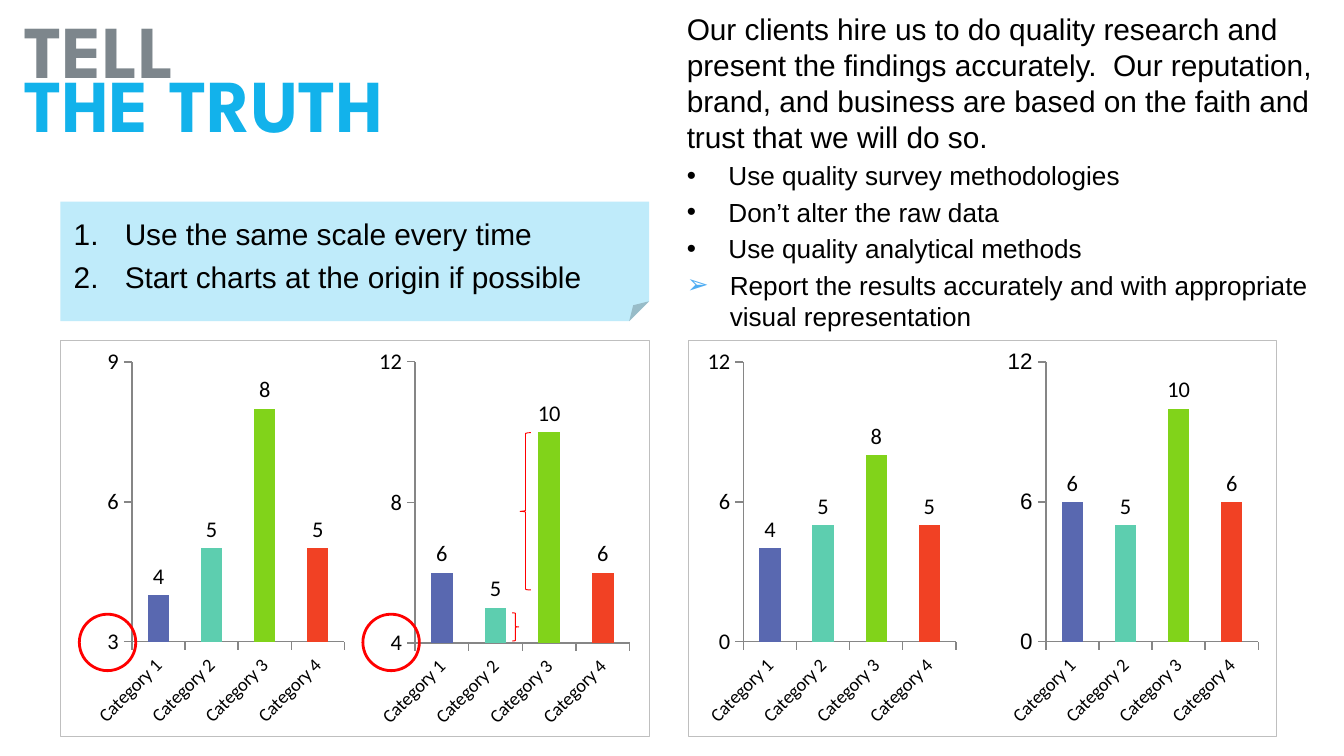
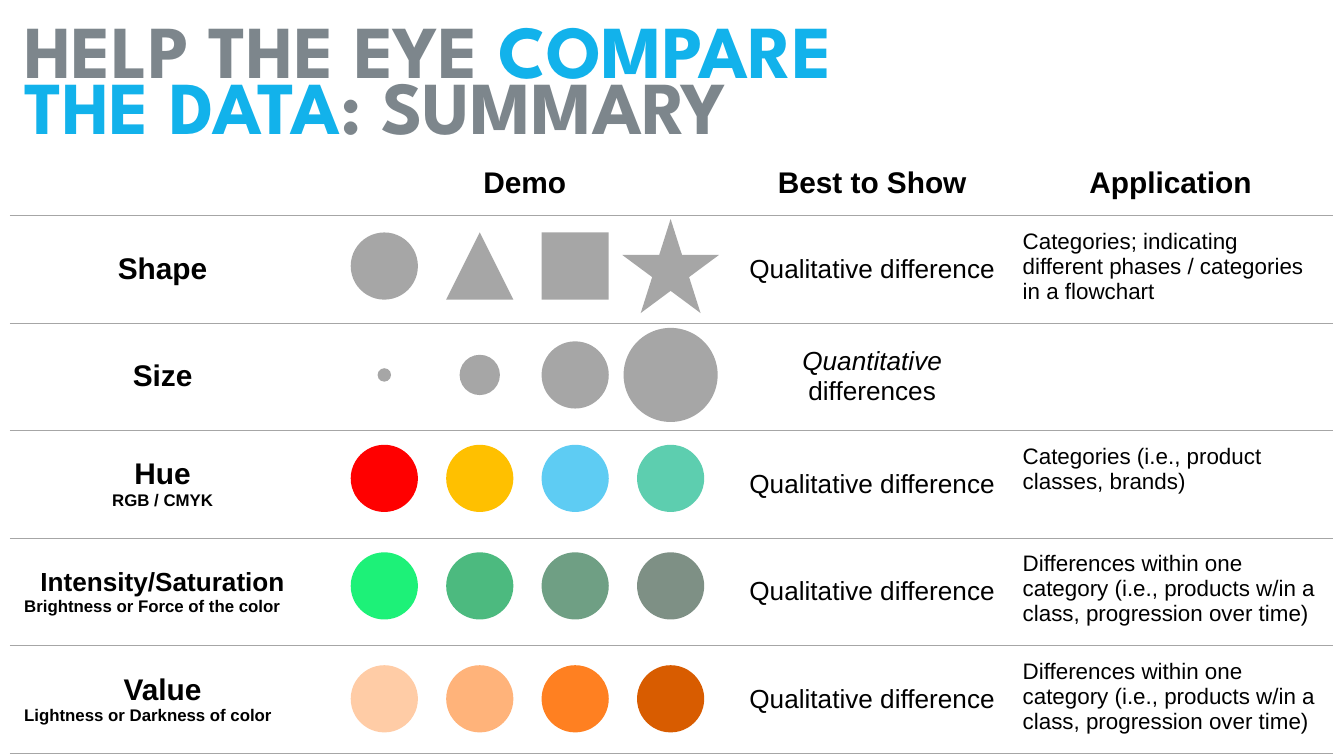
from lxml import etree
from pptx import Presentation
from pptx.chart.data import CategoryChartData
from pptx.dml.color import RGBColor
from pptx.enum.chart import XL_CHART_TYPE, XL_LABEL_POSITION, XL_TICK_MARK
from pptx.enum.shapes import MSO_SHAPE
from pptx.enum.text import MSO_ANCHOR, MSO_AUTO_SIZE, PP_ALIGN
from pptx.oxml.ns import qn
from pptx.util import Inches, Pt

COLUMNS = XL_CHART_TYPE.COLUMN_CLUSTERED
OUTSIDE_END = XL_LABEL_POSITION.OUTSIDE_END
TICK_OUT, TICK_NONE = XL_TICK_MARK.OUTSIDE, XL_TICK_MARK.NONE
CIRCLE, SQUARE = MSO_SHAPE.OVAL, MSO_SHAPE.RECTANGLE
TRIANGLE, STAR = MSO_SHAPE.ISOSCELES_TRIANGLE, MSO_SHAPE.STAR_5_POINT
NOTE = MSO_SHAPE.FOLDED_CORNER
LEFT_BRACE, RIGHT_BRACE = MSO_SHAPE.LEFT_BRACE, MSO_SHAPE.RIGHT_BRACE
TOP, MIDDLE = MSO_ANCHOR.TOP, MSO_ANCHOR.MIDDLE
LEFT, CENTER = PP_ALIGN.LEFT, PP_ALIGN.CENTER
NO_AUTOFIT = MSO_AUTO_SIZE.NONE
TITLE_AND_BODY, TITLE_ONLY = 1, 5

COLORS = {
    "text": "000000", "title": "7D868C", "accent": "12B2EB", "note": "BFEBFA",
    "arrow": "4FADF3", "frame": "BFBFBF", "axis": "868686", "mark": "FF0000",
    "gray": "A6A6A6", "series": "4E67C8",
}
BAR_COLORS = ["5968B0", "5DCEAF", "81D31A", "F14124"]
HUES = ["FF0000", "FFC000", "5ECCF3", "5DCEAF"]
INTENSITIES = ["1DF178", "4CBA7F", "6F9F84", "7E9085"]
VALUES = ["FFCCA6", "FFB37A", "FF8021", "D85C00"]
FONT, CHART_FONT, TITLE_FONT = "Arial", "Calibri", "League Spartan"
DOT = ("buChar", {"char": "•"})
ARROW = ("buChar", {"char": "➢"})
NUMBER = ("buAutoNum", {"type": "arabicPeriod"})
PLOT = (0.245, 0.053, 0.729, 0.669)


def rgb(color):
    """Turn a colour name or hex string into an RGBColor."""
    return RGBColor.from_string(COLORS.get(color, color))


class Deck:
    """Holds the presentation, its style and the current slide."""

    def __init__(self):
        """Start an empty 16:9 presentation."""
        self.presentation = Presentation()
        self.presentation.slide_width = Inches(10)
        self.presentation.slide_height = Inches(10) * 9 // 16
        self.slide = None

    def add_slide(self, layout, title_lines, pitch):
        """Add a slide with a title of two tightly set lines."""
        layouts = self.presentation.slide_layouts
        self.slide = self.presentation.slides.add_slide(layouts[layout])
        frame = self.place(self.slide.shapes.title, 0.08, -0.02, 9.3, 1.16)
        for index, line in enumerate(title_lines):
            paragraph = self.paragraph(frame, index, line[0][0], 40)
            for text, _ in line[1:]:
                paragraph.add_run().text = text
            for run, (_, color) in zip(paragraph.runs, line):
                self.font(run.font, 40, color, TITLE_FONT, bold=True)
        frame.paragraphs[1].line_spacing = Pt(pitch)

    def place(self, placeholder, left, top, width, height):
        """Move a placeholder and return its text frame."""
        placeholder.left, placeholder.top = Inches(left), Inches(top)
        placeholder.width, placeholder.height = Inches(width), Inches(height)
        frame = placeholder.text_frame
        frame.word_wrap = True
        frame.auto_size = NO_AUTOFIT
        frame.vertical_anchor = TOP
        return frame

    def font(self, font, size, color="text", name=FONT, bold=False):
        """Set size, colour, typeface and weight of a font."""
        font.size, font.name, font.bold = Pt(size), name, bold
        font.color.rgb = rgb(color)

    def paragraph(self, frame, index, text, size, bold=False, align=LEFT,
                  bullet=None, indent=0, before=0, bullet_color=None):
        """Write one paragraph, with an optional bullet."""
        paragraph = frame.paragraphs[0] if index == 0 else frame.add_paragraph()
        paragraph.text = text
        properties = paragraph._p.get_or_add_pPr()
        properties.set("marL", str(Inches(indent)))
        properties.set("indent", str(-Inches(indent)))
        if bullet_color:
            holder = etree.SubElement(properties, qn("a:buClr"))
            etree.SubElement(holder, qn("a:srgbClr"), val=COLORS[bullet_color])
        if bullet:
            etree.SubElement(properties, qn("a:buFont"), typeface=FONT)
        tag, attributes = bullet or ("buNone", {})
        etree.SubElement(properties, qn("a:" + tag), attributes)
        paragraph.alignment = align
        paragraph.space_before = Pt(before)
        for run in paragraph.runs:
            self.font(run.font, size, bold=bold)
        return paragraph

    def shape(self, kind, left, top, width, height, fill=None, line=None,
              weight=0.5, parent=None):
        """Draw a preset shape, filled or outlined."""
        shapes = (parent or self.slide).shapes
        shape = shapes.add_shape(kind, Inches(left), Inches(top),
                                 Inches(width), Inches(height))
        shape.shadow.inherit = False
        if fill:
            shape.fill.solid()
            shape.fill.fore_color.rgb = rgb(fill)
        else:
            shape.fill.background()
        if line:
            shape.line.color.rgb = rgb(line)
            shape.line.width = Pt(weight)
        else:
            shape.line.fill.background()
        return shape

    def column_chart(self, left, values, low, high, step, plot=PLOT,
                     scale_font=CHART_FONT):
        """Add a column chart with one colour per category."""
        data = CategoryChartData()
        data.categories = [f"Category {number}" for number in range(1, 5)]
        data.add_series("Series 1", values)
        chart = self.slide.shapes.add_chart(
            COLUMNS, Inches(left), Inches(2.53), Inches(2.17), Inches(3.11),
            data).chart
        chart.has_legend = chart.has_title = False
        self.font(chart.font, 12, name=scale_font)

        scale = chart.value_axis
        scale.minimum_scale, scale.maximum_scale = low, high
        scale.major_unit = step
        scale.has_major_gridlines = False
        categories = chart.category_axis
        for axis, size, name in ((scale, 12, scale_font),
                                 (categories, 10, CHART_FONT)):
            axis.major_tick_mark, axis.minor_tick_mark = TICK_OUT, TICK_NONE
            axis.format.line.color.rgb = rgb("axis")
            self.font(axis.tick_labels.font, size, name=name)
        label_body = categories._element.find(qn("c:txPr")).find(qn("a:bodyPr"))
        label_body.set("rot", "-2700000")
        label_body.set("vert", "horz")

        columns = chart.plots[0]
        columns.gap_width = 150
        columns.vary_by_categories = False
        columns.has_data_labels = True
        labels = columns.data_labels
        labels.show_value = True
        labels.position = OUTSIDE_END
        self.font(labels.font, 12, name=CHART_FONT)
        series = columns.series[0]
        series.format.fill.solid()
        series.format.fill.fore_color.rgb = rgb("series")
        for index, color in enumerate(BAR_COLORS):
            fill = series.points[index].format.fill
            fill.solid()
            fill.fore_color.rgb = rgb(color)
        self.plot_layout(chart, plot)

    def plot_layout(self, chart, plot):
        """Fix the inner plot area as fractions of the chart."""
        area = chart._chartSpace.chart.plotArea
        existing = area.find(qn("c:layout"))
        if existing is not None:
            area.remove(existing)
        layout = etree.Element(qn("c:layout"))
        area.insert(0, layout)
        manual = etree.SubElement(layout, qn("c:manualLayout"))
        settings = [("layoutTarget", "inner"), ("xMode", "edge"),
                    ("yMode", "edge"), *zip("xywh", plot)]
        for tag, value in settings:
            etree.SubElement(manual, qn("c:" + tag), val=str(value))

    def table(self, left, top, widths, heights):
        """Add an unfilled table ruled between its rows."""
        table = self.slide.shapes.add_table(
            len(heights), len(widths), Inches(left), Inches(top),
            Inches(sum(widths)), Inches(sum(heights))).table
        table.first_row = table.horz_banding = False
        for column, width in zip(table.columns, widths):
            column.width = Inches(width)
        for index, (row, height) in enumerate(zip(table.rows, heights)):
            row.height = Inches(height)
            for cell in row.cells:
                self.rule(cell, ("lnT", "lnB") if index else ("lnB",))
                cell.fill.background()
                cell.margin_left = cell.margin_right = Inches(0.1)
                cell.margin_top = cell.margin_bottom = Inches(0.1)
                cell.vertical_anchor = MIDDLE
        corner = table.cell(0, 0).text_frame.paragraphs[0]
        etree.SubElement(corner._p, qn("a:endParaRPr"), sz="1600")
        return table

    def rule(self, cell, sides):
        """Draw thin gray borders on the given sides of a cell."""
        properties = cell._tc.get_or_add_tcPr()
        for side in sides:
            border = etree.SubElement(properties, qn("a:" + side),
                                      w=str(Pt(0.25)))
            fill = etree.SubElement(border, qn("a:solidFill"))
            etree.SubElement(fill, qn("a:srgbClr"), val=COLORS["gray"])

    def demo_row(self, middle, marks):
        """Draw a group of four marks on evenly spaced centres."""
        group = self.slide.shapes.add_group_shape()
        for index, (kind, width, height, color) in enumerate(marks):
            center = 2.86 + 0.71 * index
            self.shape(kind, center - width / 2, middle - height / 2,
                       width, height, color, parent=group)


def build_truth_slide(deck):
    """Build the slide on honest chart scales."""
    deck.add_slide(TITLE_AND_BODY,
                   [[("TELL", "title")], [("THE TRUTH", "accent")]], 29)
    promise = deck.place(deck.slide.placeholders[1], 5.01, 0.03, 4.91, 1.79)
    deck.paragraph(promise, 0, "Our clients hire us to do quality research and "
                   "present the findings accurately.  Our reputation, brand, "
                   "and business are based on the faith and trust that we will "
                   "do so.", 16)
    methods = ["Use quality survey methodologies", "Don’t alter the raw data",
               "Use quality analytical methods"]
    for index, method in enumerate(methods, 1):
        deck.paragraph(promise, index, method, 14, bullet=DOT, indent=0.31,
                       before=2.8)
    deck.paragraph(promise, 4, "Report the results accurately and with "
                   "appropriate visual representation", 14, bullet=ARROW,
                   indent=0.32, before=2.8, bullet_color="arrow")

    first_year, second_year = (4, 5, 8, 5), (6, 5, 10, 6)
    deck.column_chart(0.45, first_year, 3, 9, 3)
    deck.column_chart(2.67, second_year, 4, 12, 4,
                      plot=(0.193, 0.052, 0.736, 0.673))
    deck.column_chart(5, first_year, 0, 12, 6)
    deck.column_chart(7.25, second_year, 0, 12, 6, scale_font=FONT)

    rules = deck.shape(NOTE, 0.45, 1.5, 4.38, 0.89, "note").text_frame
    rules.word_wrap = True
    rules.vertical_anchor = MIDDLE
    for index, advice in enumerate(["Use the same scale every time",
                                    "Start charts at the origin if possible"]):
        deck.paragraph(rules, index, advice, 16, bullet=NUMBER,
                       indent=0.38).line_spacing = 1.2

    for left in (0.59, 2.7):
        deck.shape(CIRCLE, left, 4.57, 0.42, 0.42, line="mark", weight=1.5)
    deck.shape(LEFT_BRACE, 3.87, 3.22, 0.08, 1.17, line="mark")
    deck.shape(RIGHT_BRACE, 3.81, 4.56, 0.05, 0.21, line="mark")
    for left in (0.45, 5.12):
        deck.shape(SQUARE, left, 2.53, 4.38, 2.95, line="frame")


def build_summary_slide(deck):
    """Build the summary table of visual cues."""
    deck.add_slide(TITLE_ONLY,
                   [[("HELP THE EYE ", "title"), ("COMPARE", "accent")],
                    [("THE DATA", "accent"), (": SUMMARY", "title")]], 30)
    table = deck.table(0.08, 1.13, [2.26, 3.13, 2.04, 2.4], [0.47] + [0.8] * 5)
    for column, heading in enumerate(["Demo", "Best to Show", "Application"], 1):
        deck.paragraph(table.cell(0, column).text_frame, 0, heading, 16, True,
                       CENTER)

    quality = "Qualitative difference"
    within = ("Differences within one category (i.e., products w/in a class, "
              "progression over time)")
    cues = [
        ("Shape", 16, "", LEFT, quality, "Categories; indicating different "
         "phases / categories in a flowchart"),
        ("Size", 16, "", LEFT, "Quantitative", ""),
        ("Hue", 16, "RGB / CMYK", CENTER, quality,
         "Categories (i.e., product classes, brands)"),
        ("Intensity/Saturation", 14, "Brightness or Force of the color", LEFT,
         quality, within),
        ("Value", 16, "Lightness or Darkness of color", LEFT, quality, within),
    ]
    for row, (cue, size, detail, align, best, use) in enumerate(cues, 1):
        cue_frame = table.cell(row, 0).text_frame
        deck.paragraph(cue_frame, 0, cue, size, True, CENTER)
        if detail:
            deck.paragraph(cue_frame, 1, detail, 9, True, align)
        purpose = deck.paragraph(table.cell(row, 2).text_frame, 0, best, 14,
                                 align=CENTER)
        if best != quality:
            purpose.runs[0].font.italic = True
            ending = purpose.add_run()
            ending.text = " differences"
            deck.font(ending.font, 14)
        if use:
            application = table.cell(row, 3)
            application.vertical_anchor = TOP
            deck.paragraph(application.text_frame, 0, use, 12)

    deck.demo_row(1.98, [(CIRCLE, 0.5, 0.5, "gray"), (TRIANGLE, 0.5, 0.5, "gray"),
                         (SQUARE, 0.5, 0.5, "gray"), (STAR, 0.72, 0.7, "gray")])
    deck.demo_row(2.79, [(CIRCLE, size, size, "gray")
                         for size in (0.1, 0.3, 0.5, 0.7)])
    for middle, palette in ((3.56, HUES), (4.36, INTENSITIES), (5.2, VALUES)):
        deck.demo_row(middle, [(CIRCLE, 0.5, 0.5, color) for color in palette])


def main():
    """Build and save both slides."""
    deck = Deck()
    build_truth_slide(deck)
    build_summary_slide(deck)
    deck.presentation.save("out.pptx")


if __name__ == "__main__":
    main()
